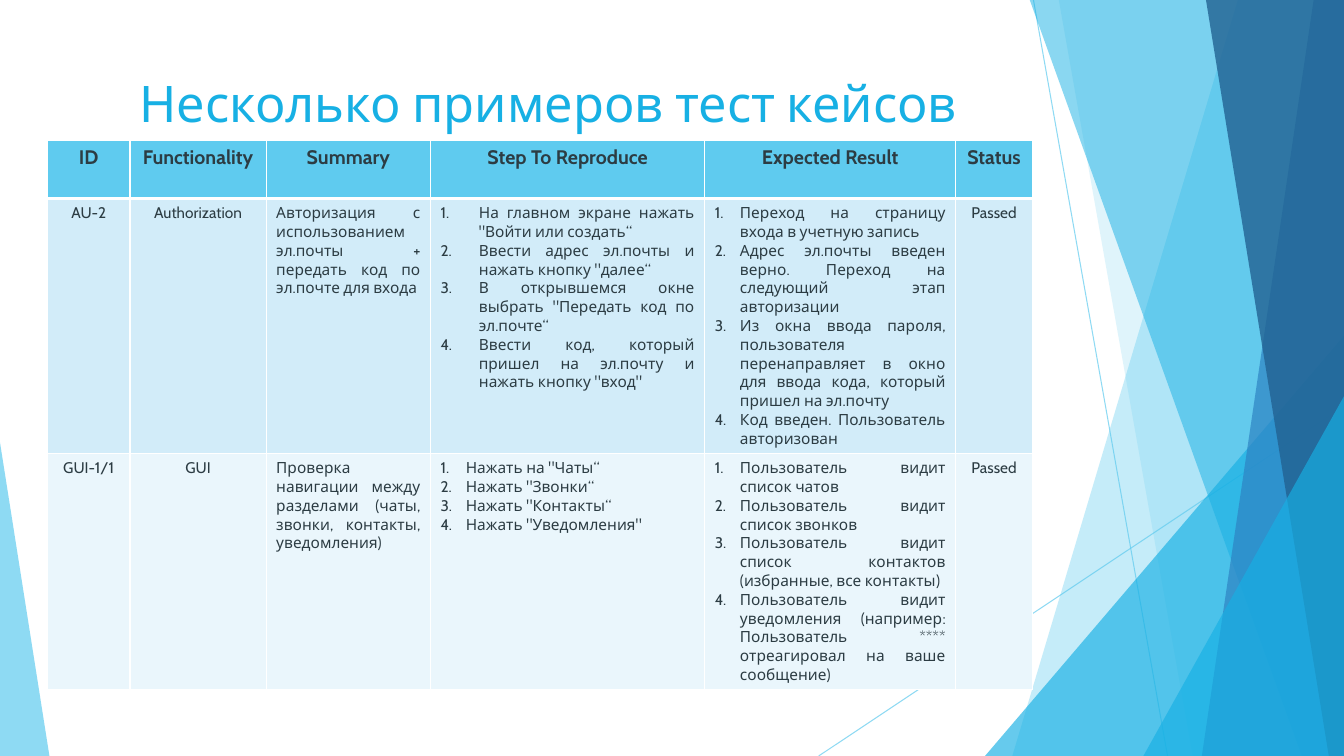
from dataclasses import dataclass
from typing import Any

from lxml.etree import SubElement
from pptx import Presentation
from pptx.dml.color import RGBColor
from pptx.enum.shapes import MSO_CONNECTOR, MSO_SHAPE
from pptx.enum.text import MSO_ANCHOR, PP_ALIGN
from pptx.oxml.ns import qn
from pptx.util import Pt

SCALE = 9144
WIDE, HIGH, TOP = 1333, 750, -1
FONT = "Cabin"
SKY, BLUE, INK, WHITE = "5FCBEF", "17B0E4", "2C3C43", "FFFFFF"
HEAD = ("ID", "Functionality", "Summary", "Step To Reproduce", "Expected Result", "Status")
COLS = (82, 135, 163, 272, 249, 76)
ROWS = (58, 253, 234)
FILLS = (SKY, "D2ECF9", "EAF6FC")


@dataclass
class Ray:
    start: tuple[int, int]
    end: tuple[int, int]


@dataclass
class Band:
    top: int
    base: int
    color: str
    alpha: int


@dataclass
class Wedge:
    left: int
    top: int
    width: int
    apex: int
    color: str
    alpha: int


@dataclass
class Steps:
    items: tuple[str, ...]
    indent: int = 25


@dataclass
class Case:
    code: str
    area: str
    about: str
    steps: Steps
    result: Steps
    status: str = "Passed"


RAYS = (Ray((1025, 0), (1158, HIGH)), Ray((WIDE, 403), (812, HIGH)))
SHARDS = (
    Band(1228, 1004, SKY, 36),
    Band(1050, 1183, SKY, 20),
    Wedge(977, 333, 356, 1, BLUE, 66),
    Band(1021, 1291, BLUE, 50),
    Band(1303, 1192, "2E83C3", 70),
    Band(1196, 1318, "226292", 80),
    Wedge(1134, 393, 199, 1, BLUE, 66),
    Wedge(0, 439, 49, 0, SKY, 70),
)
CASES = (
    Case(
        "AU-2",
        "Authorization",
        "Авторизация с использованием эл.почты + передать код по эл.почте для входа",
        Steps((
            'На главном экране нажать "Войти или создать“',
            'Ввести адрес эл.почты и нажать кнопку "далее“',
            'В открывшемся окне выбрать "Передать код по эл.почте“',
            'Ввести код, который пришел на эл.почту и нажать кнопку "вход"',
        ), 38),
        Steps((
            "Переход на страницу входа в учетную запись",
            "Адрес эл.почты введен верно. Переход на следующий этап авторизации",
            "Из окна ввода пароля, пользователя перенаправляет в окно для ввода кода, "
            "который пришел на эл.почту",
            "Код введен. Пользователь авторизован",
        )),
    ),
    Case(
        "GUI-1/1",
        "GUI",
        "Проверка навигации между разделами (чаты, звонки, контакты, уведомления)",
        Steps((
            'Нажать на "Чаты“',
            'Нажать "Звонки“',
            'Нажать "Контакты“',
            'Нажать "Уведомления"',
        )),
        Steps((
            "Пользователь видит список чатов",
            "Пользователь видит список звонков",
            "Пользователь видит список контактов (избранные, все контакты)",
            "Пользователь видит уведомления (например: Пользователь **** "
            "отреагировал на ваше сообщение)",
        )),
    ),
)


def px(size: int) -> int:
    return size * SCALE


def paint(fill: Any, color: str, alpha: int = 100) -> None:
    fill.solid()
    fill.fore_color.rgb = RGBColor.from_string(color)
    if alpha < 100:
        tone = fill._xPr.find(qn("a:solidFill"))[0]
        SubElement(tone, qn("a:alpha"), val=str(alpha * 1000))


def draw_ray(shapes: Any, ray: Ray) -> None:
    line = shapes.add_connector(MSO_CONNECTOR.STRAIGHT, *map(px, ray.start + ray.end))
    line.line.width = Pt(0.75)
    paint(line.line.fill, SKY, 70)
    SubElement(line._element.spPr, qn("a:effectLst"))


def draw_shard(shapes: Any, shard: Band | Wedge) -> None:
    if isinstance(shard, Band):
        path = shapes.build_freeform(shard.top, TOP, scale=SCALE)
        path.add_line_segments([(WIDE, TOP), (WIDE, HIGH), (shard.base, HIGH)])
        shape = path.convert_to_shape()
    else:
        box = (shard.left, shard.top, shard.width, HIGH - shard.top)
        shape = shapes.add_shape(MSO_SHAPE.ISOSCELES_TRIANGLE, *map(px, box))
        shape.adjustments[0] = shard.apex
    shape.shadow.inherit = False
    paint(shape.fill, shard.color, shard.alpha)
    shape.line.fill.background()


def write(para: Any, text: str, size: int, color: str, align: PP_ALIGN, bold: bool = False) -> None:
    para.text = text
    para.alignment = align
    font = para.font
    font.name, font.size, font.bold = FONT, Pt(size), bold
    paint(font.fill, color)


def number(para: Any, indent: int) -> None:
    props = para._p.get_or_add_pPr()
    props.set("marL", str(px(indent)))
    props.set("indent", str(-px(indent)))
    mark = SubElement(props, qn("a:buAutoNum"), type="arabicPeriod")
    props.insert(0, mark)


def edge(cell: Any, base: int) -> None:
    props = cell._tc.get_or_add_tcPr()
    for place, side in enumerate("LRTB"):
        width = Pt(base if side == "B" else 1)
        line = SubElement(props, qn(f"a:ln{side}"), w=str(width))
        fill = SubElement(line, qn("a:solidFill"))
        SubElement(fill, qn("a:srgbClr"), val=WHITE)
        props.insert(place, line)


def fill_cell(cell: Any, value: str | Steps, row: int, col: int) -> None:
    paint(cell.fill, FILLS[row])
    edge(cell, 1 if row else 3)
    items = value.items if isinstance(value, Steps) else (value,)
    align = PP_ALIGN.JUSTIFY if row and col in (2, 3, 4) else PP_ALIGN.CENTER
    frame = cell.text_frame
    for index, text in enumerate(items):
        para = frame.add_paragraph() if index else frame.paragraphs[0]
        write(para, text, 11 if row else 14, INK, align, not row)
        if isinstance(value, Steps):
            number(para, value.indent)


def draw_table(shapes: Any) -> None:
    box = (47, 139, sum(COLS), sum(ROWS))
    table = shapes.add_table(len(ROWS), len(COLS), *map(px, box)).table
    table.horz_banding = False
    for col, width in zip(table.columns, COLS):
        col.width = px(width)
    for row, height in zip(table.rows, ROWS):
        row.height = px(height)
    grid = [HEAD] + [(c.code, c.area, c.about, c.steps, c.result, c.status) for c in CASES]
    for row, line in enumerate(grid):
        for col, value in enumerate(line):
            fill_cell(table.cell(row, col), value, row, col)


def main() -> None:
    deck = Presentation()
    deck.slide_width, deck.slide_height = px(WIDE), px(HIGH)
    shapes = deck.slides.add_slide(deck.slide_layouts[6]).shapes
    for ray in RAYS:
        draw_ray(shapes, ray)
    for shard in SHARDS:
        draw_shard(shapes, shard)
    frame = shapes.add_textbox(*map(px, (74, 67, 940, 144))).text_frame
    frame.word_wrap = True
    frame.vertical_anchor = MSO_ANCHOR.TOP
    write(frame.paragraphs[0], "Несколько примеров тест кейсов", 36, BLUE, PP_ALIGN.CENTER)
    draw_table(shapes)
    deck.save("out.pptx")


if __name__ == "__main__":
    main()
